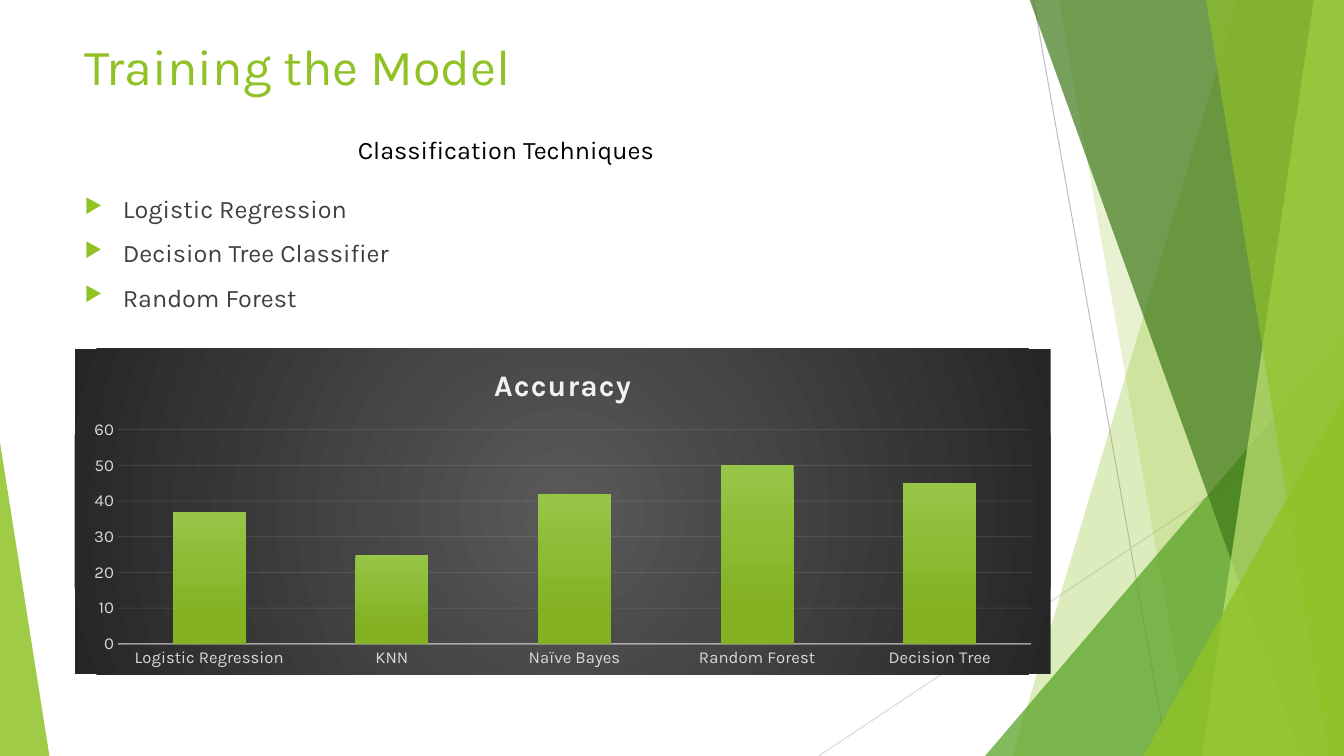
from lxml import etree
from pptx import Presentation
from pptx.chart.data import CategoryChartData
from pptx.dml.color import RGBColor
from pptx.enum.chart import XL_CHART_TYPE as ChartType, XL_TICK_MARK as TickMark
from pptx.enum.shapes import MSO_CONNECTOR as Connector, MSO_SHAPE as Preset
from pptx.enum.text import MSO_ANCHOR as Anchor, PP_ALIGN as Align
from pptx.oxml import parse_xml
from pptx.oxml.ns import nsdecls, qn
from pptx.util import Inches, Pt

COLOURS = {
    "lime": "90C226", "green": "54A021", "forest": "3F7819", "pale": "C0E474",
    "text": "404040", "black": "000000", "line": "BFBFBF", "faint line": "D9D9D9",
    "label": "D9D9D9", "white": "F2F2F2", "bar top": "97C547", "bar base": "84B223",
    "panel centre": "595959", "panel edge": "262626",
}
RGB = {name: RGBColor.from_string(value) for name, value in COLOURS.items()}
FONT = "Karla"


def set_alpha(element, percent):
    """Make the first colour inside element partly transparent."""
    colour = next(element.iter(qn("a:srgbClr")))
    etree.SubElement(colour, qn("a:alpha")).set("val", str(percent * 1000))


def set_font(font, size, colour, bold=False):
    for name, value in {"name": FONT, "size": Pt(size), "bold": bold}.items():
        setattr(font, name, value)
    font.color.rgb = RGB[colour]


deck = Presentation()
deck.slide_width, deck.slide_height = Inches(13.33), Inches(7.5)
page = deck.slides.add_slide(deck.slide_layouts[5])
shapes = page.shapes

# Decorative lines and facets
for x1, y1, x2, y2, colour in [
    (10.25, 0, 11.58, 7.5, "line"),
    (13.33, 4.03, 8.12, 7.5, "faint line"),
]:
    rule = shapes.add_connector(
        Connector.STRAIGHT, Inches(x1), Inches(y1), Inches(x2), Inches(y2))
    rule.line.color.rgb = RGB[colour]
    rule.line.width = Pt(0.75)
    etree.SubElement(rule._element.spPr, qn("a:effectLst"))

# Bands give top and bottom x of their left edge and run to the right side;
# triangles give left, top, width, height and the position of the tip.
facets = [
    ((12.28, 10.04), "lime", 30),
    ((10.5, 11.83), "lime", 20),
    ((9.77, 3.33, 3.56, 4.17, 1), "green", 72),
    ((10.21, 12.91), "forest", 70),
    ((13.03, 11.92), "pale", 70),
    ((11.96, 13.18), "lime", 65),
    ((11.34, 3.93, 1.99, 3.57, 1), "lime", 80),
    ((0, 4.39, 0.49, 3.11, 0), "lime", 85),
]
for geometry, colour, opacity in facets:
    if len(geometry) == 2:
        top_x, bottom_x = geometry
        corners = [(13.33, -0.01), (13.33, 7.5), (bottom_x, 7.5)]
        builder = shapes.build_freeform(Inches(top_x), Inches(-0.01))
        builder.add_line_segments([(Inches(x), Inches(y)) for x, y in corners])
        facet = builder.convert_to_shape()
    else:
        *frame, tip = geometry
        facet = shapes.add_shape(Preset.ISOSCELES_TRIANGLE, *map(Inches, frame))
        facet.adjustments[0] = tip
    facet.shadow.inherit = False
    facet.fill.solid()
    facet.fill.fore_color.rgb = RGB[colour]
    set_alpha(facet._element.spPr, opacity)
    facet.line.fill.background()

# Title, bullets and subtitle
title = shapes.title
title.left, title.top, title.width, title.height = map(Inches, (0.74, 0.3, 4.5, 0.71))
techniques = shapes.add_textbox(*map(Inches, (0.74, 1.87, 9.4, 1.74)))
subtitle = shapes.add_textbox(*map(Inches, (3.45, 1.28, 3.99, 0.4)))
for box, lines, size, colour in [
    (title, ["Training the Model"], 36, "lime"),
    (techniques, ["Logistic Regression", "Decision Tree Classifier", "Random Forest"],
     18, "text"),
    (subtitle, ["Classification Techniques"], 18, "black"),
]:
    frame = box.text_frame
    frame.word_wrap = True
    frame.vertical_anchor = Anchor.TOP
    frame.text = "\n".join(lines)
    for para in frame.paragraphs:
        para.alignment = Align.LEFT
        set_font(para.runs[0].font, size, colour)

for index, para in enumerate(techniques.text_frame.paragraphs):
    para.space_before = Pt(10 if index else 0)
    properties = para._p.get_or_add_pPr()
    properties.set("marL", str(Inches(0.38)))
    properties.set("indent", str(Inches(-0.38)))
    bullet_colour = etree.SubElement(properties, qn("a:buClr"))
    etree.SubElement(bullet_colour, qn("a:srgbClr")).set("val", COLOURS["lime"])
    etree.SubElement(properties, qn("a:buSzPct")).set("val", "80000")
    etree.SubElement(properties, qn("a:buChar")).set("char", "▶")

# Accuracy chart
data = CategoryChartData()
data.categories = ["Logistic Regression", "KNN", "Naïve Bayes", "Random Forest",
                   "Decision Tree"]
data.add_series("Series 1", [37, 25, 42, 50, 45])
chart = shapes.add_chart(
    ChartType.COLUMN_STACKED, *map(Inches, (0.74, 3.46, 9.68, 3.23)), data).chart
set_font(chart.font, 10, "black")
chart.has_legend = False
chart.has_title = True
chart.chart_title.include_in_layout = False
heading = chart.chart_title.text_frame
heading.text = "Accuracy"
span = heading.paragraphs[0].runs[0]
set_font(span.font, 21.3, "white", bold=True)
span._r.get_or_add_rPr().set("spc", "100")

plot = chart.plots[0]
plot.gap_width, plot.overlap, plot.vary_by_categories = 150, 100, False
bar_fill = plot.series[0].format.fill
bar_fill.gradient()
bar_fill.gradient_angle = 270
for stop, position, colour in zip(
        bar_fill.gradient_stops, (0, 0.78), ("bar top", "bar base")):
    stop.position = position
    stop.color.rgb = RGB[colour]

category_axis, value_axis = chart.category_axis, chart.value_axis
value_axis.minimum_scale, value_axis.maximum_scale, value_axis.major_unit = 0, 60, 10
value_axis.has_major_gridlines = True
value_axis.format.line.fill.background()
for axis in (category_axis, value_axis):
    axis.major_tick_mark = axis.minor_tick_mark = TickMark.NONE
    set_font(axis.tick_labels.font, 11.9, "label")
for holder, tag, width, opacity in [
    (category_axis, "c:spPr", 1, 54),
    (value_axis.major_gridlines, "c:majorGridlines", 0.75, 10),
]:
    holder.format.line.color.rgb = RGB["white"]
    holder.format.line.width = Pt(width)
    axis = category_axis if tag == "c:spPr" else value_axis
    set_alpha(axis._element.find(qn(tag)), opacity)

panel = parse_xml(f"""
<c:spPr {nsdecls("c", "a")}>
  <a:gradFill>
    <a:gsLst>
      <a:gs pos="0"><a:srgbClr val="{COLOURS["panel centre"]}"/></a:gs>
      <a:gs pos="100000"><a:srgbClr val="{COLOURS["panel edge"]}"/></a:gs>
    </a:gsLst>
    <a:path path="circle">
      <a:fillToRect l="50000" t="50000" r="50000" b="50000"/>
    </a:path>
  </a:gradFill>
  <a:ln><a:noFill/></a:ln>
</c:spPr>""")
chart._chartSpace.find(qn("c:chart")).addnext(panel)

deck.save("out.pptx")
